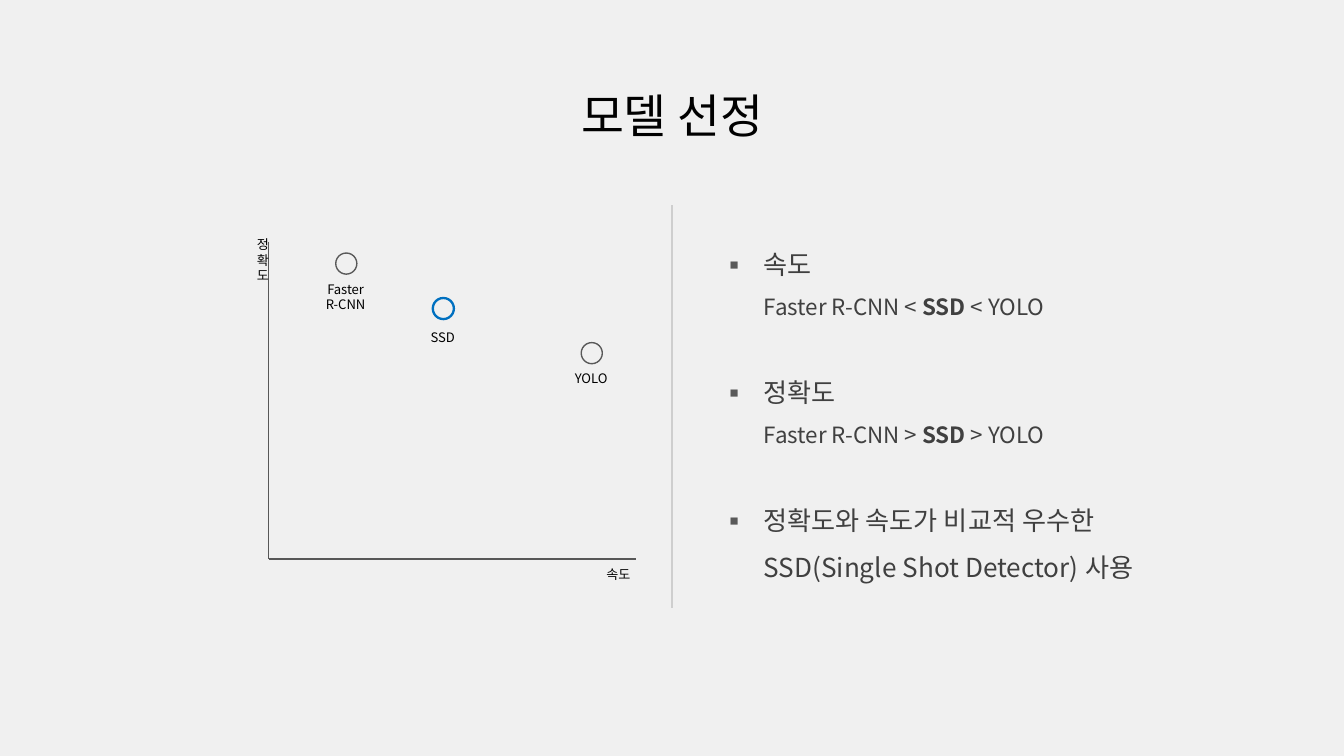
from lxml.etree import SubElement
from pptx import Presentation
from pptx.dml.color import RGBColor
from pptx.enum.shapes import MSO_CONNECTOR, MSO_SHAPE
from pptx.enum.text import MSO_ANCHOR, PP_ALIGN
from pptx.oxml.ns import qn
from pptx.util import Pt

BACKGROUND = RGBColor(0xF0, 0xF0, 0xF0)
BLACK = RGBColor(0x00, 0x00, 0x00)
BODY = RGBColor(0x40, 0x40, 0x40)
BULLET = RGBColor(0x59, 0x59, 0x59)
AXIS = RGBColor(0x57, 0x57, 0x57)
DIVIDER = RGBColor(0xCE, 0xCE, 0xCE)
BLUE = RGBColor(0x00, 0x70, 0xC0)

# Name, circle centre x and y, label top, outline colour and width
MODELS = [
    (["Faster", "R-CNN"], 185.5, 141.2, 147, BULLET, 0.75),
    (["SSD"], 237.5, 165.3, 173, BLUE, 1.25),
    (["YOLO"], 317, 189.2, 195, BULLET, 0.75),
]

# Each point is a list of lines, each line a list of (text, size, bold)
POINTS = [
    [[("속도", 14, False)],
     [("Faster R-CNN < ", 12, False), ("SSD", 12, True), (" < YOLO", 12, False)]],
    [[("정확도", 14, False)],
     [("Faster R-CNN > ", 12, False), ("SSD", 12, True), (" > YOLO", 12, False)]],
    [[("정확도와 속도가 비교적 우수한", 14, False)],
     [("SSD(Single Shot Detector) 사용", 14, False)]],
]


def add_run(p, text, *, font, size, color=BLACK, bold=False):
    r = p.add_run()
    r.text = text
    r.font.name = font
    r.font.size = Pt(size)
    r.font.bold = bold
    r.font.color.rgb = color
    SubElement(r.font._element, qn("a:ea"), typeface=font)


class SlideBuilder:
    font = "Noto Sans CJK KR"
    circle_size = 11.3

    def __init__(self, slide):
        self.slide = slide
        fill = slide.background.fill
        fill.solid()
        fill.fore_color.rgb = BACKGROUND

    def frame(self, x, y, w, h, anchor=MSO_ANCHOR.TOP, inset=3.6):
        sp = self.slide.shapes.add_textbox(Pt(x), Pt(y), Pt(w), Pt(h))
        tf = sp.text_frame
        tf.word_wrap = True
        tf.vertical_anchor = anchor
        tf.margin_top = tf.margin_bottom = Pt(inset)
        return tf

    def text(self, x, y, w, h, lines, size=7, align=PP_ALIGN.CENTER, **frame_format):
        tf = self.frame(x, y, w, h, **frame_format)
        for i, line in enumerate(lines):
            p = tf.add_paragraph() if i else tf.paragraphs[0]
            p.alignment = align
            add_run(p, line, font=self.font, size=size)
        return tf

    def vertical_text(self, x, y, w, h, line):
        tf = self.text(x, y, w, h, [line], align=PP_ALIGN.RIGHT)
        tf._txBody.bodyPr.set("vert", "eaVert")

    def bullets(self, x, y, w, h, points, gap):
        tf = self.frame(x, y, w, h, anchor=MSO_ANCHOR.MIDDLE, inset=7.2)
        for i, lines in enumerate(points):
            p = tf.add_paragraph() if i else tf.paragraphs[0]
            pPr = p._p.get_or_add_pPr()
            pPr.set("marL", str(Pt(22.5)))
            pPr.set("indent", str(-Pt(22.5)))
            color = SubElement(pPr, qn("a:buClr"))
            SubElement(color, qn("a:srgbClr"), val=str(BULLET))
            SubElement(pPr, qn("a:buFont"), typeface=self.font)
            SubElement(pPr, qn("a:buChar"), char="▪")
            p.line_spacing = 1.5
            if i:
                p.space_before = Pt(gap)
            for j, line in enumerate(lines):
                if j:
                    p.add_line_break()
                for text, size, bold in line:
                    add_run(p, text, font=self.font, size=size, color=BODY, bold=bold)

    def line(self, x1, y1, x2, y2, color):
        line = self.slide.shapes.add_connector(
            MSO_CONNECTOR.STRAIGHT, Pt(x1), Pt(y1), Pt(x2), Pt(y2))
        line.line.color.rgb = color
        line.line.width = Pt(0.75)
        SubElement(line._element.spPr, qn("a:effectLst"))

    def circle(self, cx, cy, color, width):
        d = self.circle_size
        sp = self.slide.shapes.add_shape(
            MSO_SHAPE.OVAL, Pt(cx - d / 2), Pt(cy - d / 2), Pt(d), Pt(d))
        sp.shadow.inherit = False
        sp.fill.background()
        sp.line.color.rgb = color
        sp.line.width = Pt(width)


def main():
    prs = Presentation()
    prs.slide_width, prs.slide_height = Pt(720), Pt(405)
    s = SlideBuilder(prs.slides.add_slide(prs.slide_layouts[6]))

    s.text(56, 42.5, 608, 37.5, ["모델 선정"], size=25,
           anchor=MSO_ANCHOR.MIDDLE, inset=7.2)
    s.bullets(379.5, 122.4, 306.5, 192.2, POINTS, gap=21.6)
    s.line(360, 110, 360, 325.5, DIVIDER)

    s.line(144, 129.6, 144, 299.5, AXIS)
    s.line(340.5, 299.5, 144, 299.5, AXIS)
    s.text(148.3, 300.2, 196.5, 16, ["속도"], align=PP_ALIGN.RIGHT)
    s.vertical_text(125.3, 120.2, 23, 41.8, "정 확 도")

    for name, cx, cy, label_top, color, width in MODELS:
        s.circle(cx, cy, color, width)
        s.text(cx - 25.5, label_top, 50.4, 12 + 11 * len(name), name)

    prs.save("out.pptx")


if __name__ == "__main__":
    main()
